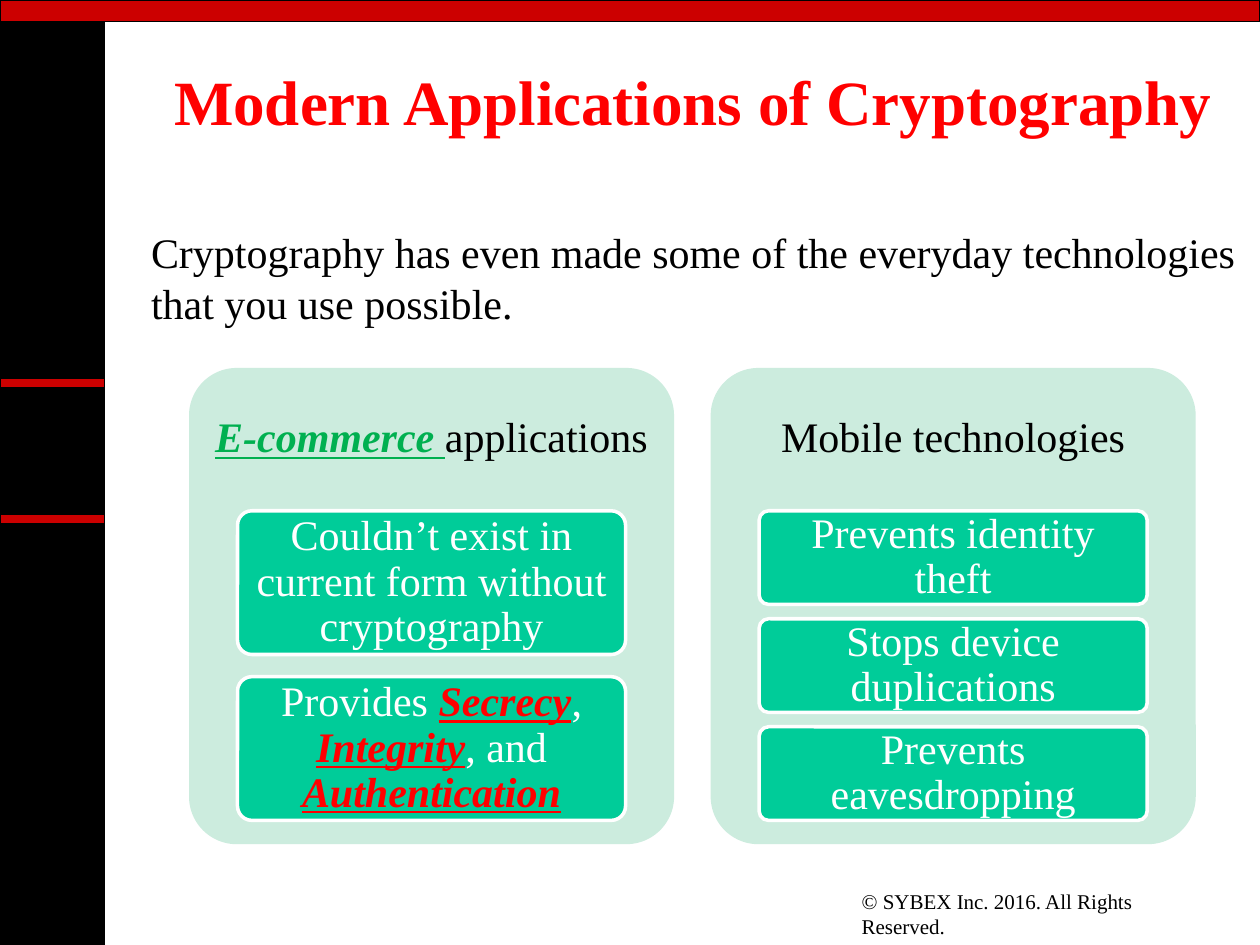
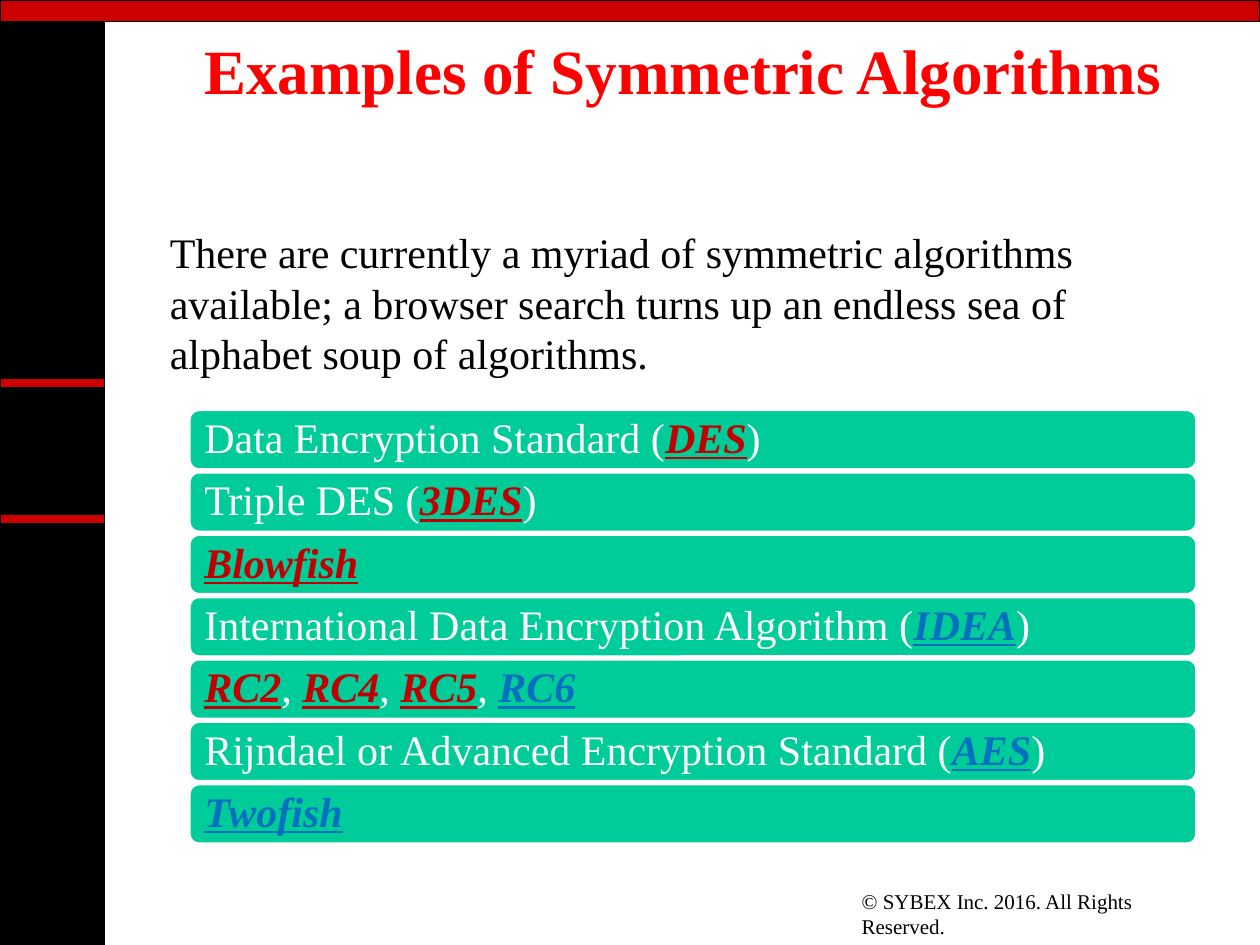
from pptx import Presentation
from pptx.dml.color import RGBColor
from pptx.enum import shapes, text
from pptx.util import Inches, Pt

BLACK = RGBColor(0x00, 0x00, 0x00)
WHITE = RGBColor(0xFF, 0xFF, 0xFF)
BAND = RGBColor(0xCC, 0x00, 0x00)
RED = RGBColor(0xFF, 0x00, 0x00)
DARK = RGBColor(0xC0, 0x00, 0x00)
BLUE = RGBColor(0x00, 0x70, 0xC0)
GREEN = RGBColor(0x00, 0xB0, 0x50)
TEAL = RGBColor(0x00, 0xCC, 0x99)
MINT = RGBColor(0xCC, 0xEC, 0xDE)
FONT = "Times New Roman"
RECT = shapes.MSO_SHAPE.RECTANGLE
ROUND = shapes.MSO_SHAPE.ROUNDED_RECTANGLE
LEFT, CENTER = text.PP_ALIGN.LEFT, text.PP_ALIGN.CENTER
TOP, MIDDLE = text.MSO_ANCHOR.TOP, text.MSO_ANCHOR.MIDDLE


def write(shape, parts, color=BLACK, size=24, bold=False, align=LEFT,
          anchor=TOP, pad=(0.1, 0.05), lead=None):
    """Fill a shape with one paragraph; a (term, colour) part is a key term."""
    frame = shape.text_frame
    frame.word_wrap = True
    frame.vertical_anchor = anchor
    frame.margin_left = frame.margin_right = Inches(pad[0])
    frame.margin_top = frame.margin_bottom = Inches(pad[1])
    para = frame.paragraphs[0]
    para.alignment = align
    para.line_spacing = lead
    font = para.font
    font.name, font.size, font.bold = FONT, Pt(size), bold
    font.color.rgb = color
    for part in parts:
        run = para.add_run()
        if isinstance(part, str):
            run.text = part
            run.font.color.rgb = color
        else:
            run.text, run.font.color.rgb = part
            run.font.bold = run.font.italic = run.font.underline = True
        run.font.name, run.font.size = FONT, Pt(size)


def label(slide, box, parts, **style):
    write(slide.shapes.add_textbox(*map(Inches, box)), parts, **style)


def block(slide, kind, box, fill, line=None, width=0.75, adj=None):
    shape = slide.shapes.add_shape(kind, *map(Inches, box))
    shape.shadow.inherit = False
    shape.fill.solid()
    shape.fill.fore_color.rgb = fill
    if line is None:
        shape.line.fill.background()
    else:
        shape.line.color.rgb = line
        shape.line.width = Pt(width)
    if adj is not None:
        shape.adjustments[0] = adj
    return shape


def stack(slide, box, items, ratio, adj, **style):
    """Equal teal boxes down the given box; a gap is ratio times a height."""
    x, y, w, h = box
    count = len(items)
    tall = h / (count + (count - 1) * ratio)
    for i, parts in enumerate(items):
        spot = (x, y + i * tall * (1 + ratio), w, tall)
        tile = block(slide, ROUND, spot, TEAL, WHITE, 2, adj)
        write(tile, parts, WHITE, anchor=MIDDLE, lead=0.9, **style)


def panel(slide, box, head, items):
    x, y, w, h = box
    block(slide, ROUND, box, MINT, adj=0.1)
    label(slide, (x, y, w, 0.3 * h), head, align=CENTER, anchor=MIDDLE,
          pad=(0.1, 0.1), lead=0.9)
    inner = (x + 0.1 * w, y + 0.3 * h, 0.8 * w, 0.65 * h)
    stack(slide, inner, items, 0.154, 0.1, align=CENTER, pad=(0.07, 0.05))


def base(deck, title, spot, intro, body):
    """Start a slide with the shared bands, footer, title and intro text."""
    slide = deck.slides.add_slide(deck.slide_layouts[6])
    # Side and top bands
    block(slide, RECT, (0, 0, 0.83, 7.5), BLACK, BLACK)
    block(slide, RECT, (0, 0, 10, 0.17), BAND, BLACK)
    for y in (3, 4.08):
        block(slide, RECT, (0, y, 0.83, 0.08), BAND, BLACK)
    # Footer
    label(slide, (6.74, 7, 2.94, 0.3),
          ["© SYBEX Inc. 2016. All Rights Reserved."], size=12)
    # Title and intro
    label(slide, (*spot, 8.5, 0.5), [title], color=RED, size=36, bold=True,
          align=CENTER, anchor=MIDDLE)
    label(slide, body, [intro])
    return slide


def modern(deck):
    slide = base(
        deck, "Modern Applications of Cryptography", (1.25, 0.55),
        "Cryptography has even made some of the everyday technologies "
        "that you use possible.", (1.1, 1.75, 8.92, 0.91))
    panels = [
        ([("E-commerce ", GREEN), "applications"],
         [["Couldn’t exist in current form without cryptography"],
          ["Provides ", ("Secrecy", RED), ", ", ("Integrity", RED),
           ", and ", ("Authentication", RED)]]),
        (["Mobile technologies"],
         [["Prevents identity theft"], ["Stops device duplications"],
          ["Prevents eavesdropping"]]),
    ]
    for i, (head, items) in enumerate(panels):
        panel(slide, (1.5 + i * 4.14, 2.92, 3.85, 3.78), head, items)


def ciphers(deck):
    slide = base(
        deck, "Examples of Symmetric Algorithms", (1.17, 0.3),
        "There are currently a myriad of symmetric algorithms available; "
        "a browser search turns up an endless sea of alphabet soup of "
        "algorithms.", (1.25, 1.75, 8.5, 1.31))
    names = [
        ["Data Encryption Standard (", ("DES", DARK), ")"],
        ["Triple DES (", ("3DES", DARK), ")"],
        [("Blowfish", DARK)],
        ["International Data Encryption Algorithm (", ("IDEA", BLUE), ")"],
        [("RC2", DARK), ", ", ("RC4", DARK), ", ", ("RC5", DARK), ", ",
         ("RC6", BLUE)],
        ["Rijndael or Advanced Encryption Standard (", ("AES", BLUE), ")"],
        [("Twofish", BLUE)],
    ]
    stack(slide, (1.5, 3.25, 8, 3.45), names, 0.03, 0.17, pad=(0.1, 0.1))


def main():
    deck = Presentation()
    deck.slide_width, deck.slide_height = Inches(10), Inches(7.5)
    modern(deck)
    ciphers(deck)
    deck.save("out.pptx")


if __name__ == "__main__":
    main()
